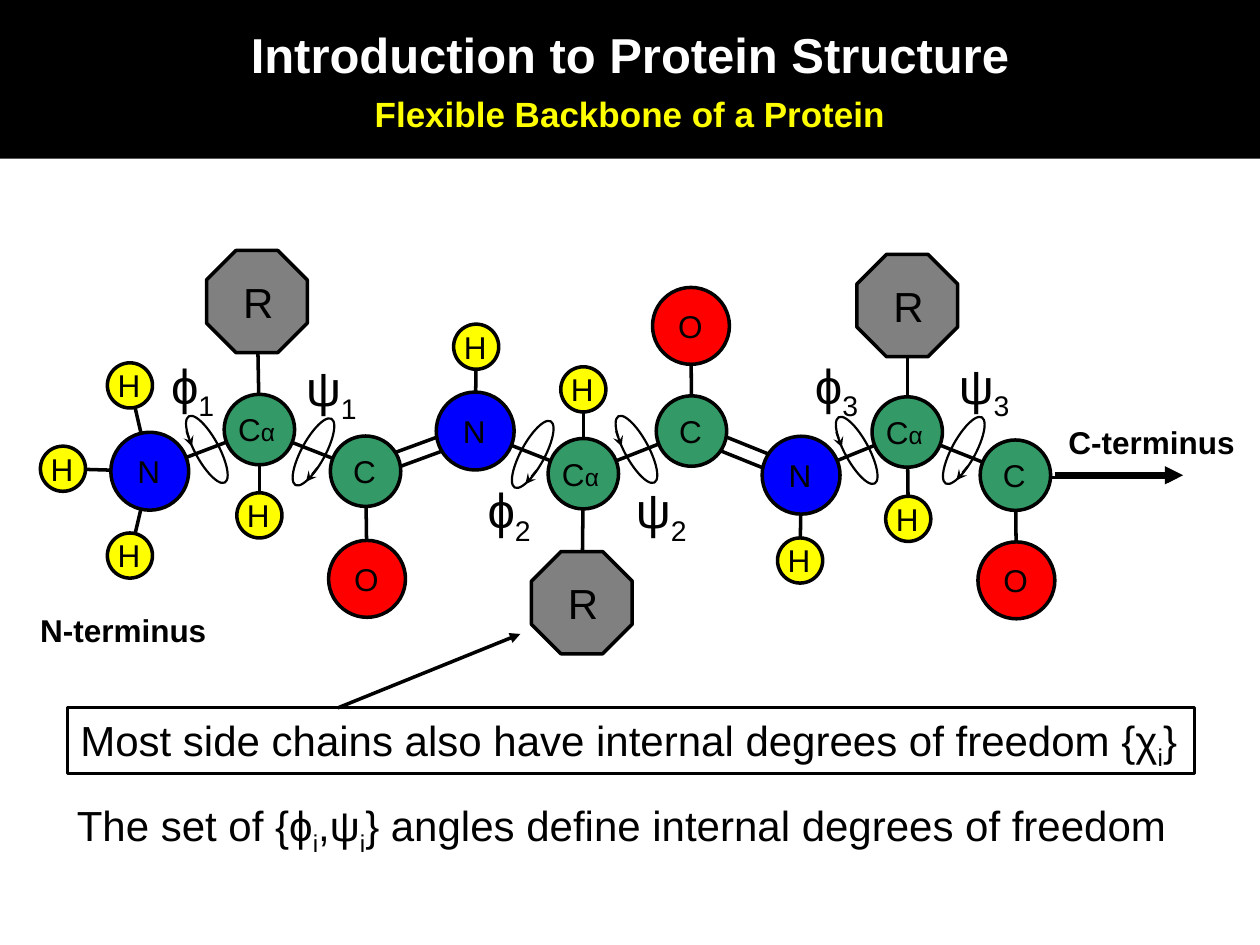
import math
from dataclasses import dataclass

from lxml import etree
from pptx import Presentation
from pptx import util as u
from pptx.dml.color import RGBColor
from pptx.enum import shapes, text
from pptx.oxml.ns import qn


@dataclass(frozen=True)
class Theme:
    font: str = "Arial"
    black: str = "000000"
    white: str = "FFFFFF"
    yellow: str = "FFFF00"
    blue: str = "0000FF"
    green: str = "339966"
    red: str = "FF0000"
    gray: str = "808080"
    title: int = 28
    subtitle: int = 20
    angle: int = 28
    body: int = 24
    atom: int = 18
    alpha: int = 14
    bond: float = 2
    frame: float = 1.75
    rotation: float = 1.25
    terminus: float = 3.5


@dataclass(frozen=True)
class Box:
    left: float
    top: float
    width: float
    height: float

    def at(self, x, y):
        return self.left + x, self.top + y

    def inner(self, x, y, width, height):
        return Box(*self.at(x, y), width, height)

    def around(self, x, y, width, height):
        return self.inner(x - width / 2, y - height / 2, width, height)

    def lengths(self):
        return [u.Cm(n) for n in (self.left, self.top, self.width, self.height)]


THEME = Theme()
OVAL = shapes.MSO_SHAPE.OVAL
OCTAGON = shapes.MSO_SHAPE.OCTAGON
RECTANGLE = shapes.MSO_SHAPE.RECTANGLE

# Element: outline, colour, width, height, label runs, label width, label size
ELEMENTS = {
    "H": (OVAL, THEME.yellow, 0.91, 0.91, ["H"], 1, THEME.atom),
    "N": (OVAL, THEME.blue, 1.57, 1.57, ["N"], 1, THEME.atom),
    "A": (OVAL, THEME.green, 1.42, 1.42, ["C", "α"], 1.36, THEME.atom),
    "C": (OVAL, THEME.green, 1.42, 1.42, ["C"], 1, THEME.atom),
    "O": (OVAL, THEME.red, 1.55, 1.55, ["O"], 1.02, THEME.atom),
    "R": (OCTAGON, THEME.gray, 2.03, 2.06, ["R"], 1.06, THEME.body),
}

# Atom centres within the chain; the first letter gives the element
ATOMS = {
    "H1": (0.47, 4.45), "H2": (1.82, 2.77), "H3": (1.82, 6.2), "H4": (4.43, 5.39),
    "H5": (8.8, 1.99), "H6": (10.96, 2.85), "H7": (15.33, 6.3), "H8": (17.51, 5.46),
    "N1": (2.22, 4.5), "N2": (8.78, 3.69), "N3": (15.35, 4.58),
    "A1": (4.43, 3.66), "A2": (10.96, 4.55), "A3": (17.49, 3.71),
    "C1": (6.57, 4.5), "C2": (13.14, 3.69), "C3": (19.67, 4.58),
    "O1": (6.6, 6.67), "O2": (13.13, 1.57), "O3": (19.69, 6.7),
    "R1": (4.38, 1.08), "R2": (10.93, 7.15), "R3": (17.49, 1.16),
}
SINGLE_BONDS = ("H1-N1 H2-N1 H3-N1 N1-A1 A1-R1 A1-H4 A1-C1 C1-O1 N2-H5 N2-A2 A2-R2 "
                "A2-H6 A2-C2 C2-O2 N3-H7 N3-A3 A3-R3 A3-H8 A3-C3 C3-O3").split()
DOUBLE_BONDS = ["C1-N2", "C2-N3"]

# Rotation marks: tilt, arrow start and end from the centre, centres
ROTATIONS = [
    (61.5, (-0.41, -0.37), (-0.3, -0.06), [(3.37, 4.06), (12.03, 4.06), (16.47, 4.08)]),
    (298.5, (0.08, 0.32), (-0.15, 0.6), [(5.52, 4.11), (9.94, 4.16), (18.63, 4.08)]),
]
ANGLES = [("ϕ", "1", 2.4, 2.04), ("ψ", "1", 5.12, 2.09), ("ϕ", "2", 8.78, 4.55),
          ("ψ", "2", 11.77, 4.55), ("ϕ", "3", 15.38, 2.04), ("ψ", "3", 18.28, 2.04)]


def rgb(colour):
    return RGBColor.from_string(colour)


def add_line(page, start, end, width, arrow=None):
    line = page.shapes.add_connector(
        shapes.MSO_CONNECTOR.STRAIGHT, *[u.Cm(n) for n in (*start, *end)])
    line.line.width = u.Pt(width)
    line.line.color.rgb = rgb(THEME.black)
    if arrow:
        etree.SubElement(line.line._get_or_add_ln(), qn("a:tailEnd"), type=arrow)
    etree.SubElement(line._element.spPr, qn("a:effectLst"))


def add_shape(page, box, kind, fill=None, width=None):
    shape = page.shapes.add_shape(kind, *box.lengths())
    shape.shadow.inherit = False
    if fill:
        shape.fill.solid()
        shape.fill.fore_color.rgb = rgb(fill)
    else:
        shape.fill.background()
    if width:
        shape.line.width = u.Pt(width)
        shape.line.color.rgb = rgb(THEME.black)
    else:
        shape.line.fill.background()
    return shape


def write(para, runs, size, colour=THEME.black, bold=False, small=None):
    """Every second run is a subscript, or is set in the small size if given."""
    para.font.name, para.font.size, para.font.bold = THEME.font, u.Pt(size), bold
    para.font.color.rgb = rgb(colour)
    for index, words in enumerate(runs):
        span = para.add_run()
        span.text = words
        if index % 2 and small:
            span.font.size = u.Pt(small)
        elif index % 2:
            span._r.get_or_add_rPr().set("baseline", "-25000")


def add_label(page, box, runs, size, wrap=True, **style):
    frame = page.shapes.add_textbox(*box.lengths()).text_frame
    frame.word_wrap = wrap
    write(frame.paragraphs[0], runs, size, **style)


def add_title(page, box):
    frame = add_shape(page, box, RECTANGLE, THEME.black).text_frame
    frame.vertical_anchor = text.MSO_ANCHOR.MIDDLE
    heading, subheading = frame.paragraphs[0], frame.add_paragraph()
    heading.alignment = subheading.alignment = text.PP_ALIGN.CENTER
    subheading.space_before = u.Pt(5)
    write(heading, ["Introduction to Protein Structure"], THEME.title, THEME.white, True)
    write(subheading, ["Flexible Backbone of a Protein"], THEME.subtitle, THEME.yellow, True)


def add_bond(page, box, pair, shift=0):
    (x1, y1), (x2, y2) = [ATOMS[name] for name in pair.split("-")]
    length = math.hypot(x2 - x1, y2 - y1)
    dx, dy = shift * (y1 - y2) / length, shift * (x2 - x1) / length
    add_line(page, box.at(x1 + dx, y1 + dy), box.at(x2 + dx, y2 + dy), THEME.bond)


def add_chain(page, box):
    # Bonds
    for pair in SINGLE_BONDS:
        add_bond(page, box, pair)
    for pair in DOUBLE_BONDS:
        for shift in (-0.15, 0.15):
            add_bond(page, box, pair, shift)
    add_line(page, box.at(19.72, 4.63), box.at(22.95, 4.63), THEME.bond, "triangle")

    # Atoms, then their labels
    for name, centre in ATOMS.items():
        kind, fill, width, height, *_ = ELEMENTS[name[0]]
        add_shape(page, box.around(*centre, width, height), kind, fill, THEME.bond)
    for name, centre in ATOMS.items():
        *_, runs, width, size = ELEMENTS[name[0]]
        height = 1.27 if size == THEME.body else 1.02
        add_label(page, box.around(*centre, width, height), runs, size, small=THEME.alpha)

    # Rotation marks and angle names
    for tilt, start, end, centres in ROTATIONS:
        for x, y in centres:
            ring = add_shape(page, box.around(x, y, 1.52, 0.48), OVAL, width=THEME.rotation)
            ring.rotation = tilt
            add_line(page, box.at(x + start[0], y + start[1]),
                     box.at(x + end[0], y + end[1]), THEME.rotation, "stealth")
    for letter, number, x, y in ANGLES:
        add_label(page, box.inner(x, y, 1.6, 1.45), [letter, number], THEME.angle, wrap=False)

    # Chain ends
    add_line(page, box.at(20.46, 4.58), box.at(23.05, 4.58), THEME.terminus, "triangle")
    for words, x, y in [("N-terminus", -0.24, 7.19), ("C-terminus", 20.49, 3.41)]:
        add_label(page, box.inner(x, y, 4.11, 1.02), [words], THEME.atom, bold=True)


def add_notes_on_freedom(page, box):
    add_label(page, box.inner(-0.07, 1.73, 22.5, 1.27),
              ["The set of {ϕ", "i", ",ψ", "i", "} angles define internal degrees of freedom"],
              THEME.body, wrap=False)
    # Framed remark, pointing at a side chain
    add_line(page, box.at(5.44, 0), box.at(9.12, -1.49), THEME.bond, "triangle")
    frame = add_shape(page, box.inner(0, 0, box.width, 1.32), RECTANGLE,
                      width=THEME.frame).text_frame
    frame.word_wrap = False
    frame.vertical_anchor = text.MSO_ANCHOR.TOP
    frame.paragraphs[0].alignment = text.PP_ALIGN.LEFT
    write(frame.paragraphs[0],
          ["Most side chains also have internal degrees of freedom {χ", "i", "}"], THEME.body)


def main():
    deck = Presentation()
    deck.slide_width, deck.slide_height = u.Cm(25.4), u.Cm(19.05)
    page = deck.slides.add_slide(deck.slide_layouts[6])
    add_title(page, Box(0, 0, 25.4, 3.2))
    add_chain(page, Box(0.8, 5, 24, 8.2))
    add_notes_on_freedom(page, Box(1.37, 14.27, 22.71, 3))
    deck.save("out.pptx")


if __name__ == "__main__":
    main()
